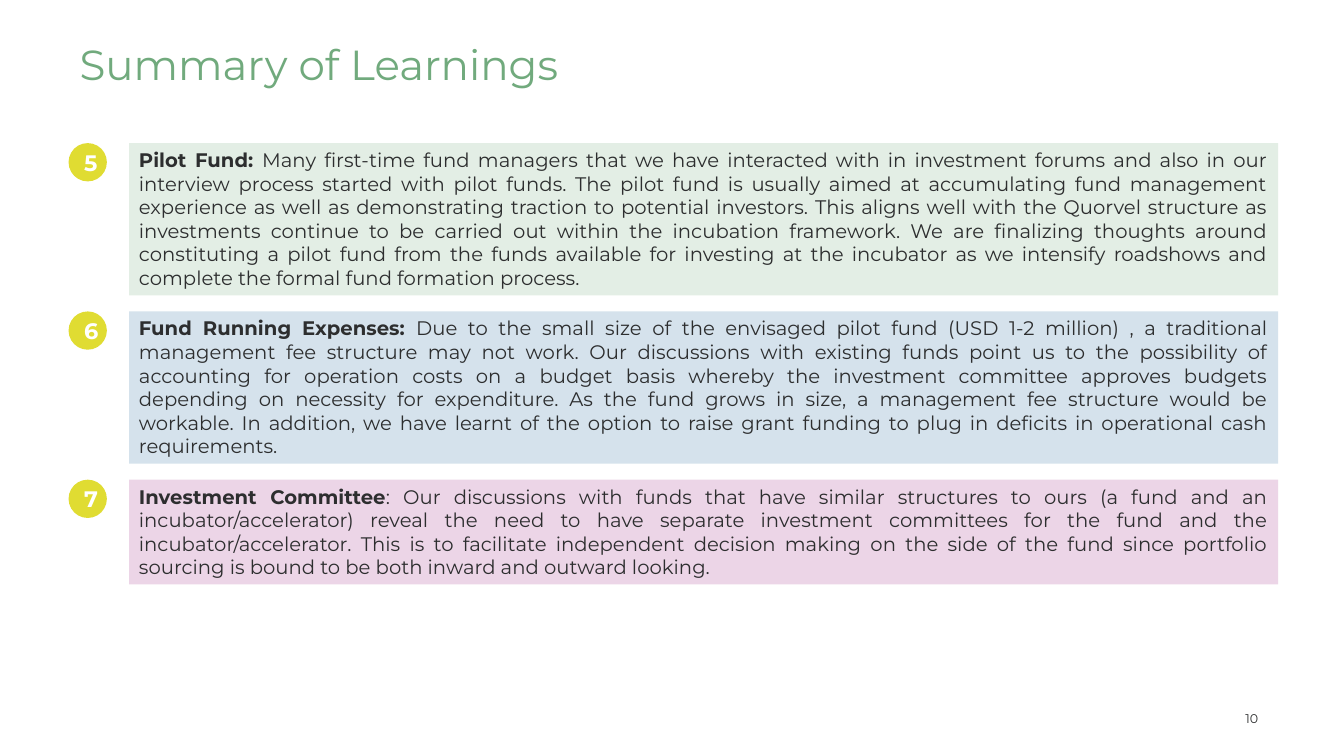
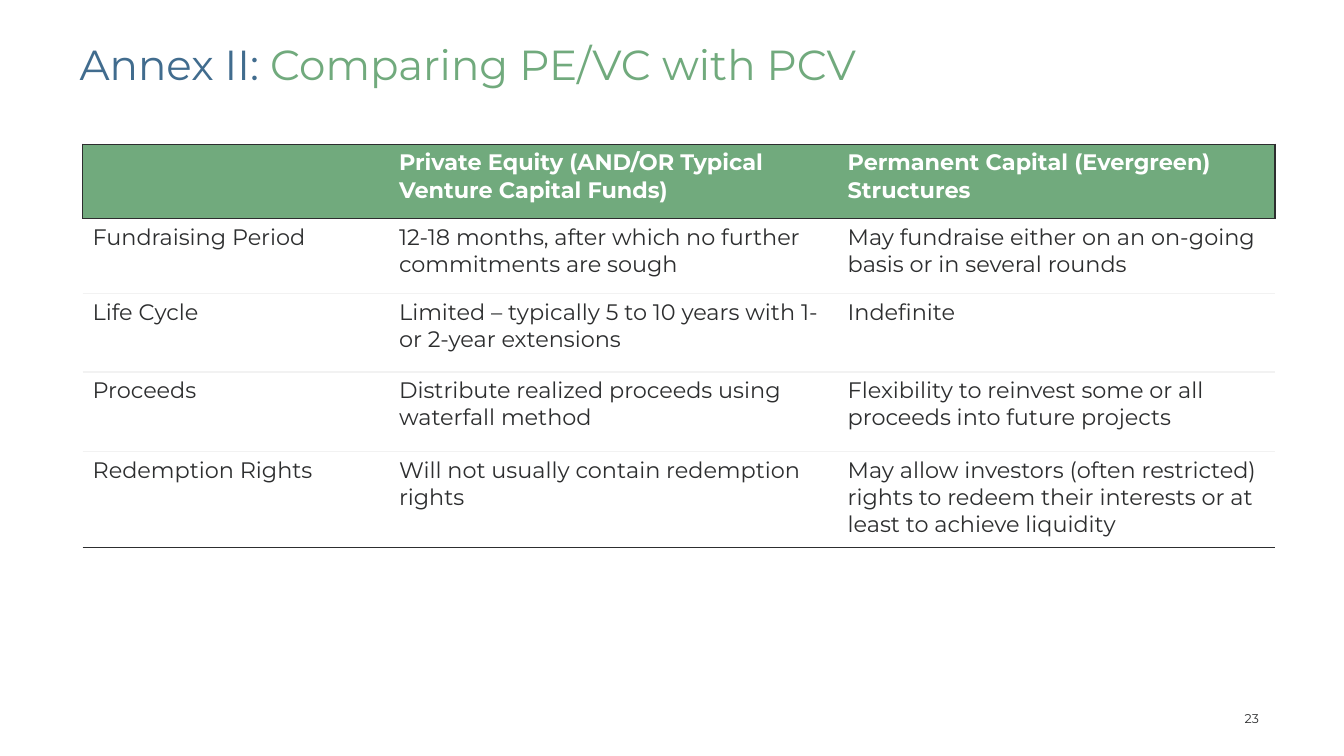
from dataclasses import dataclass
from typing import NamedTuple

from lxml import etree
from pptx import Presentation
from pptx import util as u
from pptx.dml.color import RGBColor
from pptx.enum import shapes, text
from pptx.oxml.ns import qn

WIDTH, HEIGHT = u.Inches(13.33), u.Inches(7.5)


def across(percent: float) -> int:
    """A share of the slide's width."""
    return round(WIDTH * percent / 100)


def down(percent: float) -> int:
    """A share of the slide's height."""
    return round(HEIGHT * percent / 100)


@dataclass(frozen=True)
class Theme:
    font: str = "Montserrat"
    ink: str = "2D2E2F"
    white: str = "FFFFFF"
    green: str = "71AA7D"
    blue: str = "416C8E"
    lime: str = "E0DC32"
    pale_green: str = "E3EEE5"
    pale_blue: str = "D5E2EC"
    pale_pink: str = "ECD5E7"
    hairline: str = "F2F2F2"
    title_size: int = 30
    cell_size: int = 16
    badge_size: int = 16
    body_size: int = 14
    page_size: int = 9


THEME = Theme()


class Span(NamedTuple):
    words: str
    color: str = THEME.ink
    bold: bool = False


class Learning(NamedTuple):
    number: int
    heading: str
    body: str
    fill: str
    height: float


class Row(NamedTuple):
    height: float
    cells: tuple[str, str, str]


LEARNINGS = (
    Learning(
        5, "Pilot Fund: ",
        "Many first-time fund managers that we have interacted with in investment forums and also in "
        "our interview process started with pilot funds. The pilot fund is usually aimed at accumulating "
        "fund management experience as well as demonstrating traction to potential investors. This aligns "
        "well with the Quorvel structure as investments continue to be carried out within the incubation "
        "framework. We are finalizing thoughts around constituting a pilot fund from the funds available "
        "for investing at the incubator as we intensify roadshows and complete the formal fund formation "
        "process.",
        THEME.pale_green, 20.13),
    Learning(
        6, "Fund Running Expenses: ",
        "Due to the small size of the envisaged pilot fund (USD 1-2 million) , a traditional management "
        "fee structure may not work. Our discussions with existing funds point us to the possibility of "
        "accounting for operation costs on a budget basis whereby the investment committee approves "
        "budgets depending on necessity for expenditure. As the fund grows in size, a management fee "
        "structure would be workable. In addition, we have learnt of the option to raise grant funding to "
        "plug in deficits in operational cash requirements.",
        THEME.pale_blue, 20.13),
    Learning(
        7, "Investment Committee",
        ": Our discussions with funds that have similar structures to ours (a fund and an "
        "incubator/accelerator) reveal the need to have separate investment committees for the fund and "
        "the incubator/accelerator. This is to facilitate independent decision making on the side of the "
        "fund since portfolio sourcing is bound to be both inward and outward looking.",
        THEME.pale_pink, 13.87),
)

COMPARISON_COLUMNS = (22.8, 33.38, 32.55)
COMPARISON = (
    Row(9.87, ("", "Private Equity (AND/OR Typical Venture Capital Funds)",
               "Permanent Capital (Evergreen) Structures")),
    Row(9.87, ("Fundraising Period", "12-18 months, after which no further commitments are sough",
               "May fundraise either on an on-going basis or in several rounds")),
    Row(10.4, ("Life Cycle", "Limited – typically 5 to 10 years with 1- or 2-year extensions",
               "Indefinite")),
    Row(10.53, ("Proceeds", "Distribute realized proceeds using waterfall method",
                "Flexibility to reinvest some or all proceeds into future projects")),
    Row(12.67, ("Redemption Rights", "Will not usually contain redemption rights",
                "May allow investors (often restricted) rights to redeem their interests or at least "
                "to achieve liquidity")),
)


def write(frame, spans: list[Span], size: int, align=text.PP_ALIGN.LEFT,
          anchor=text.MSO_ANCHOR.TOP) -> None:
    """Fill a text frame with one paragraph of spans."""
    frame.word_wrap = True
    frame.vertical_anchor = anchor
    paragraph = frame.paragraphs[0]
    paragraph.alignment = align
    paragraph.font.name = THEME.font
    paragraph.font.size = u.Pt(size)
    for span in spans:
        run = paragraph.add_run()
        run.text = span.words
        run.font.color.rgb = RGBColor.from_string(span.color)
        run.font.bold = span.bold


def add_block(slide, kind, left: int, top: int, width: int, height: int, fill: str):
    block = slide.shapes.add_shape(kind, left, top, width, height)
    block.shadow.inherit = False
    block.fill.solid()
    block.fill.fore_color.rgb = RGBColor.from_string(fill)
    block.line.fill.background()
    return block


def add_page(deck, title: list[Span], number: int):
    """A blank slide with the shared title and page number."""
    slide = deck.slides.add_slide(deck.slide_layouts[6])
    heading = slide.shapes.add_textbox(across(5.18), down(5.2), across(77.25), down(13.87))
    write(heading.text_frame, title, THEME.title_size)
    heading.text_frame.paragraphs[0].line_spacing = 0.9
    folio = slide.shapes.add_textbox(across(91.3), down(92), across(3.68), down(6))
    write(folio.text_frame, [Span(str(number))], THEME.page_size,
          text.PP_ALIGN.CENTER, text.MSO_ANCHOR.MIDDLE)
    return slide


def add_learnings(slide, learnings: tuple[Learning, ...]) -> None:
    top, gap, badge_side = 18.93, 2.13, across(2.85)
    for learning in learnings:
        panel = add_block(slide, shapes.MSO_SHAPE.RECTANGLE, across(9.6), down(top),
                          across(85.5), down(learning.height), learning.fill)
        write(panel.text_frame, [Span(learning.heading, bold=True), Span(learning.body)],
              THEME.body_size, text.PP_ALIGN.JUSTIFY)
        panel.text_frame.auto_size = text.MSO_AUTO_SIZE.SHAPE_TO_FIT_TEXT
        badge = add_block(slide, shapes.MSO_SHAPE.OVAL, across(5.1), down(top),
                          badge_side, badge_side, THEME.lime)
        write(badge.text_frame, [Span(str(learning.number), THEME.white, True)],
              THEME.badge_size, text.PP_ALIGN.CENTER, text.MSO_ANCHOR.MIDDLE)
        top += learning.height + gap


def set_borders(cell, left: str | None, right: str | None, top: str, bottom: str) -> None:
    """Draw the four cell edges; None leaves an edge without a line."""
    properties = cell._tc.get_or_add_tcPr()
    edges = (("a:lnL", left), ("a:lnR", right), ("a:lnT", top), ("a:lnB", bottom))
    for place, (tag, color) in enumerate(edges):
        edge = etree.Element(qn(tag), w=str(u.Pt(1)))
        if color is None:
            etree.SubElement(edge, qn("a:noFill"))
        else:
            paint = etree.SubElement(edge, qn("a:solidFill"))
            etree.SubElement(paint, qn("a:srgbClr"), val=color)
        properties.insert(place, edge)


def add_comparison(slide, columns: tuple[float, ...], rows: tuple[Row, ...]) -> None:
    frame = slide.shapes.add_table(
        len(rows), len(columns), across(6.15), down(19.07),
        across(sum(columns)), down(sum(row.height for row in rows)))
    table = frame.table
    table.first_row = table.horz_banding = False
    for column, width in zip(table.columns, columns):
        column.width = across(width)

    strong_rules = {0, 1, len(rows)}
    rules = [THEME.ink if i in strong_rules else THEME.hairline for i in range(len(rows) + 1)]
    last = len(columns) - 1
    for r, row in enumerate(rows):
        table.rows[r].height = down(row.height)
        is_header = r == 0
        for c, words in enumerate(row.cells):
            cell = table.cell(r, c)
            if is_header:
                cell.fill.solid()
                cell.fill.fore_color.rgb = RGBColor.from_string(THEME.green)
            else:
                cell.fill.background()
            color = THEME.white if is_header else THEME.ink
            spans = [Span(words, color, is_header)] if words else []
            write(cell.text_frame, spans, THEME.cell_size)
            set_borders(cell,
                        left=THEME.ink if is_header and c == 0 else None,
                        right=THEME.ink if is_header and c == last else None,
                        top=rules[r], bottom=rules[r + 1])


def main() -> None:
    deck = Presentation()
    deck.slide_width, deck.slide_height = WIDTH, HEIGHT
    summary = add_page(deck, [Span("Summary of Learnings", THEME.green)], 10)
    add_learnings(summary, LEARNINGS)
    annex = add_page(deck, [Span("Annex II: ", THEME.blue),
                            Span("Comparing PE/VC with PCV", THEME.green)], 23)
    add_comparison(annex, COMPARISON_COLUMNS, COMPARISON)
    deck.save("out.pptx")


if __name__ == "__main__":
    main()
